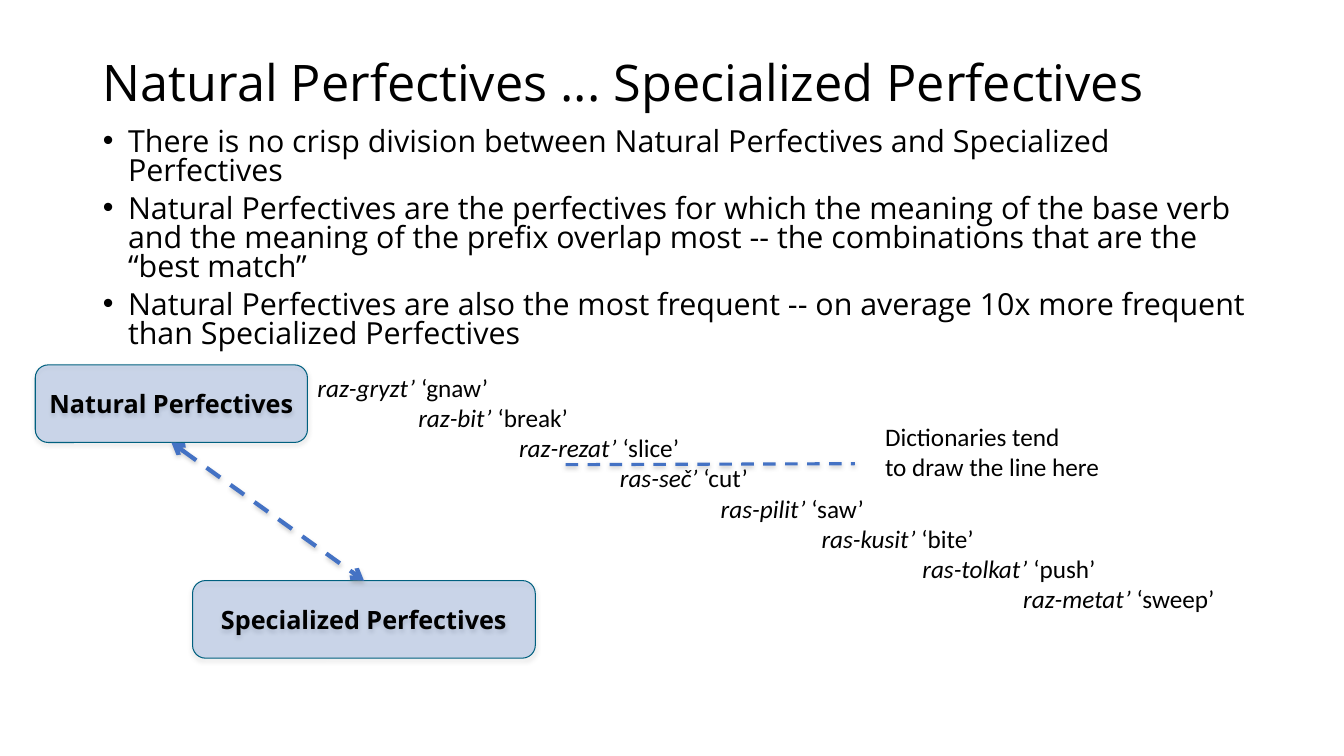
from lxml.etree import SubElement
from pptx import Presentation
from pptx.dml.color import RGBColor
from pptx.enum.dml import MSO_LINE
from pptx.enum.shapes import MSO_CONNECTOR, MSO_SHAPE
from pptx.enum.text import MSO_ANCHOR, MSO_AUTO_SIZE, PP_ALIGN
from pptx.oxml.ns import qn
from pptx.util import Inches, Pt

# Content
TITLE = "Natural Perfectives ... Specialized Perfectives"
POINTS = [
    "There is no crisp division between Natural Perfectives and Specialized Perfectives",
    "Natural Perfectives are the perfectives for which the meaning of the base verb "
    "and the meaning of the prefix overlap most -- the combinations that are the “best match”",
    "Natural Perfectives are also the most frequent -- on average 10x more frequent "
    "than Specialized Perfectives",
]
VERBS = [
    ("raz-gryzt’", "‘gnaw’"),
    ("raz-bit’", "‘break’"),
    ("raz-rezat’", "‘slice’"),
    ("ras-seč’", "‘cut’"),
    ("ras-pilit’", "‘saw’"),
    ("ras-kusit’", "‘bite’"),
    ("ras-tolkat’", "‘push’"),
    ("raz-metat’", "‘sweep’"),
]
NOTE = ["Dictionaries tend", "to draw the line here"]
CATEGORIES = [
    ("Natural Perfectives", (0.35, 3.62, 2.7, 0.77)),
    ("Specialized Perfectives", (1.91, 5.76, 3.4, 0.77)),
]
COLORS = {"text": "000000", "blue": "4472C4", "edge": "00607F", "shadow": "808080"}
HEADING_FONT, LABEL_FONT = "Open Sans", "Calibri"


def color(name):
    return RGBColor.from_string(COLORS[name])


def add_text(para, text, font=LABEL_FONT, size=18, bold=False, italic=False):
    span = para.add_run()
    span.text = text
    span.font.name, span.font.size = font, Pt(size)
    span.font.bold, span.font.italic = bold, italic
    span.font.color.rgb = color("text")


def paragraphs(frame, count):
    """Return the frame's first paragraph followed by new ones, count in all."""
    return [frame.paragraphs[0]] + [frame.add_paragraph() for _ in range(count - 1)]


def place(shape, left, top, width, height):
    shape.left, shape.top = Inches(left), Inches(top)
    shape.width, shape.height = Inches(width), Inches(height)


def set_indent(para, left, hanging=0):
    properties = para._p.get_or_add_pPr()
    properties.set("marL", str(Inches(left)))
    properties.set("indent", str(-Inches(hanging)))
    return properties


def add_shadow(shape, distance, opacity):
    effects = SubElement(shape._element.spPr, qn("a:effectLst"))
    shadow = SubElement(effects, qn("a:outerShdw"), blurRad=str(Pt(3.1)),
                        dist=str(Pt(distance)), dir="5400000", rotWithShape="0")
    shade = SubElement(shadow, qn("a:srgbClr"), val=COLORS["shadow"])
    SubElement(shade, qn("a:alpha"), val=str(opacity * 1000))


def add_dashed_line(page, start, end, width):
    line = page.shapes.add_connector(
        MSO_CONNECTOR.STRAIGHT, *(Inches(value) for value in start + end))
    line.line.color.rgb = color("blue")
    line.line.width = Pt(width)
    line.line.dash_style = MSO_LINE.DASH
    add_shadow(line, 1.6, 38)
    return line


def add_label(page, position, wrap):
    box = page.shapes.add_textbox(*(Inches(value) for value in position))
    box.text_frame.word_wrap = wrap
    box.text_frame.auto_size = MSO_AUTO_SIZE.SHAPE_TO_FIT_TEXT
    return box.text_frame


def add_category(page, name, position):
    box = page.shapes.add_shape(
        MSO_SHAPE.ROUNDED_RECTANGLE, *(Inches(value) for value in position))
    box.fill.solid()
    box.fill.fore_color.rgb = color("blue")
    fill_color = box._element.spPr.find(qn("a:solidFill"))[0]
    SubElement(fill_color, qn("a:alpha"), val="24000")
    box.line.color.rgb = color("edge")
    box.line.width = Pt(0.75)
    add_shadow(box, 1.8, 35)
    frame = box.text_frame
    frame.vertical_anchor = MSO_ANCHOR.MIDDLE
    frame.paragraphs[0].alignment = PP_ALIGN.CENTER
    add_text(frame.paragraphs[0], name, font=HEADING_FONT, bold=True)
    return box


def main():
    deck = Presentation()
    deck.slide_width, deck.slide_height = Inches(13.33), Inches(7.5)
    page = deck.slides.add_slide(deck.slide_layouts[1])

    # Title
    title = page.shapes.title
    place(title, 0.92, 0.4, 11.5, 0.9)
    title.text_frame.auto_size = MSO_AUTO_SIZE.NONE
    title.text_frame.vertical_anchor = MSO_ANCHOR.MIDDLE
    heading = title.text_frame.paragraphs[0]
    heading.alignment, heading.line_spacing = PP_ALIGN.LEFT, 0.9
    add_text(heading, TITLE, font=HEADING_FONT, size=36)

    # Bulleted points
    body = page.placeholders[1]
    place(body, 0.92, 1.23, 11.61, 2.06)
    body.text_frame.auto_size = MSO_AUTO_SIZE.NONE
    for index, para in enumerate(paragraphs(body.text_frame, len(POINTS))):
        para.line_spacing = 0.8
        para.space_before = Pt(6 if index else 0)
        properties = set_indent(para, 0.25, hanging=0.25)
        SubElement(properties, qn("a:buFont"), typeface="Arial")
        SubElement(properties, qn("a:buChar"), char="•")
        add_text(para, POINTS[index], font=HEADING_FONT, size=21.7)

    # Verbs, each one inch further in than the last
    frame = add_label(page, (3.05, 3.64, 9.61, 2.52), wrap=True)
    for step, para in enumerate(paragraphs(frame, len(VERBS))):
        verb, meaning = VERBS[step]
        set_indent(para, step)
        add_text(para, verb + " ", italic=True)
        add_text(para, meaning)

    # Categories and the scale between them
    natural, specialized = [add_category(page, *category) for category in CATEGORIES]
    scale = add_dashed_line(page, (1.7, 4.39), (3.61, 5.76), 3)
    scale.begin_connect(natural, 2)
    scale.end_connect(specialized, 0)
    outline = scale.line._get_or_add_ln()
    for end in ("a:headEnd", "a:tailEnd"):
        SubElement(outline, qn(end), type="arrow")

    # Dividing line and its note
    add_dashed_line(page, (5.61, 4.61), (8.48, 4.6), 2.25)
    frame = add_label(page, (8.68, 4.13, 2.36, 0.71), wrap=False)
    for para, text in zip(paragraphs(frame, len(NOTE)), NOTE):
        add_text(para, text)

    deck.save("out.pptx")


if __name__ == "__main__":
    main()
